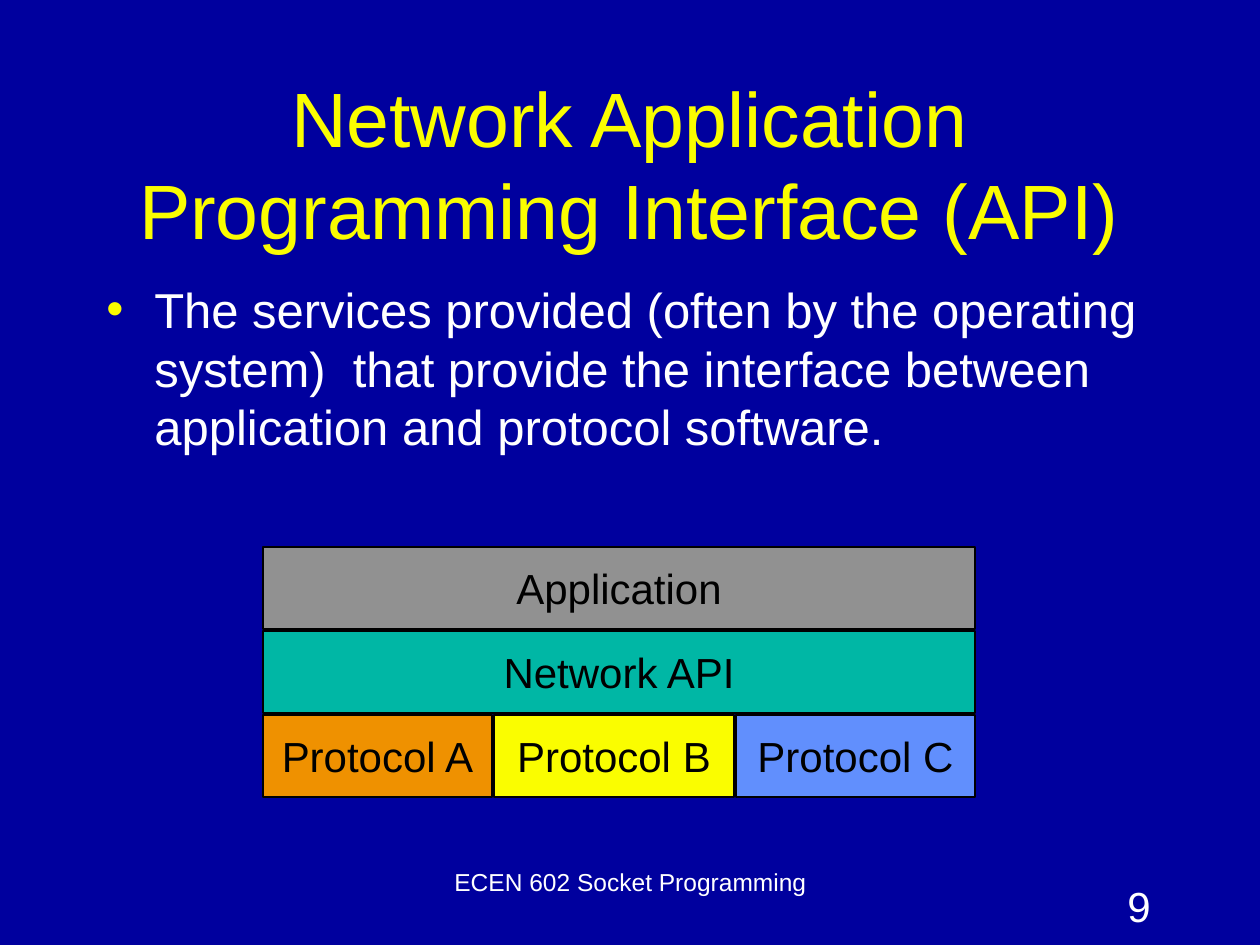
from lxml.etree import SubElement
from pptx import Presentation
from pptx.dml.color import RGBColor
from pptx.enum.shapes import MSO_SHAPE as Shape
from pptx.enum.text import MSO_ANCHOR as Anchor, PP_ALIGN as Align
from pptx.oxml.ns import qn
from pptx.util import Pt

PX = 914400 // 126
SLIDE_SIZE = (1260, 945)
BACKGROUND, YELLOW, WHITE, BLACK = "00009E", "FAFD00", "FFFFFF", "000000"

TEXTS = [
    {"text": "Network Application Programming Interface (API)",
     "at": (94, 84, 1071, 158), "size": 44, "color": YELLOW,
     "align": Align.CENTER, "anchor": Anchor.MIDDLE},
    {"text": "The services provided (often by the operating system)  that provide "
             "the interface between application and protocol software.",
     "at": (94, 273, 1071, 231), "size": 28, "color": WHITE, "bullet": YELLOW},
    {"text": "ECEN 602 Socket Programming",
     "at": (368, 861, 525, 63), "size": 14, "color": WHITE, "align": Align.CENTER},
    {"text": "9", "at": (1115, 874, 140, 63), "size": 24, "color": WHITE},
]

LAYERS = [
    [("Application", "919191", 712)],
    [("Network API", "00B7A5", 712)],
    [("Protocol A", "EF9100", 229), ("Protocol B", YELLOW, 240), ("Protocol C", "618FFD", 239)],
]
STACK_LEFT, STACK_TOP, LAYER_HEIGHT, GAP = 263, 547, 82, 2


def rgb(color):
    """Turn a hex string into a colour."""
    return RGBColor.from_string(color)


def emu(lengths):
    """Scale px lengths to EMU."""
    return [length * PX for length in lengths]


def add_bullet(paragraph, color, indent):
    """Give a paragraph a coloured round bullet with a hanging indent."""
    properties = paragraph._p.get_or_add_pPr()
    properties.set("marL", str(indent * PX))
    properties.set("indent", str(-indent * PX))
    bullet_color = SubElement(properties, qn("a:buClr"))
    SubElement(bullet_color, qn("a:srgbClr"), val=color)
    SubElement(properties, qn("a:buFont"), typeface="Arial")
    SubElement(properties, qn("a:buChar"), char="•")


def write(shape, text, size, color, align=Align.LEFT, anchor=Anchor.TOP, wrap=True, bullet=None):
    """Fill a shape with one formatted paragraph."""
    frame = shape.text_frame
    frame.word_wrap, frame.vertical_anchor = wrap, anchor
    paragraph = frame.paragraphs[0]
    paragraph.text, paragraph.alignment = text, align
    if bullet:
        add_bullet(paragraph, bullet, 48)
    font = paragraph.runs[0].font
    for name, value in {"name": "Arial", "size": Pt(size)}.items():
        setattr(font, name, value)
    font.color.rgb = rgb(color)


def add_layer_box(shapes, label, fill, at):
    """Draw one labelled block of the protocol stack."""
    block = shapes.add_shape(Shape.RECTANGLE, *emu(at))
    block.shadow.inherit = False
    block.fill.solid()
    block.fill.fore_color.rgb = rgb(fill)
    block.line.color.rgb = rgb(BLACK)
    block.line.width = Pt(1)
    write(block, label, 24, BLACK, Align.CENTER, Anchor.MIDDLE, wrap=False)


def main():
    """Build the slide."""
    deck = Presentation()
    deck.slide_width, deck.slide_height = emu(SLIDE_SIZE)
    slide = deck.slides.add_slide(deck.slide_layouts[6])
    slide.background.fill.solid()
    slide.background.fill.fore_color.rgb = rgb(BACKGROUND)
    for entry in TEXTS:
        style = {key: value for key, value in entry.items() if key != "at"}
        write(slide.shapes.add_textbox(*emu(entry["at"])), **style)
    for row, layer in enumerate(LAYERS):
        left, top = STACK_LEFT, STACK_TOP + row * (LAYER_HEIGHT + GAP)
        for label, fill, width in layer:
            add_layer_box(slide.shapes, label, fill, (left, top, width, LAYER_HEIGHT))
            left += width + GAP
    deck.save("out.pptx")


if __name__ == "__main__":
    main()
